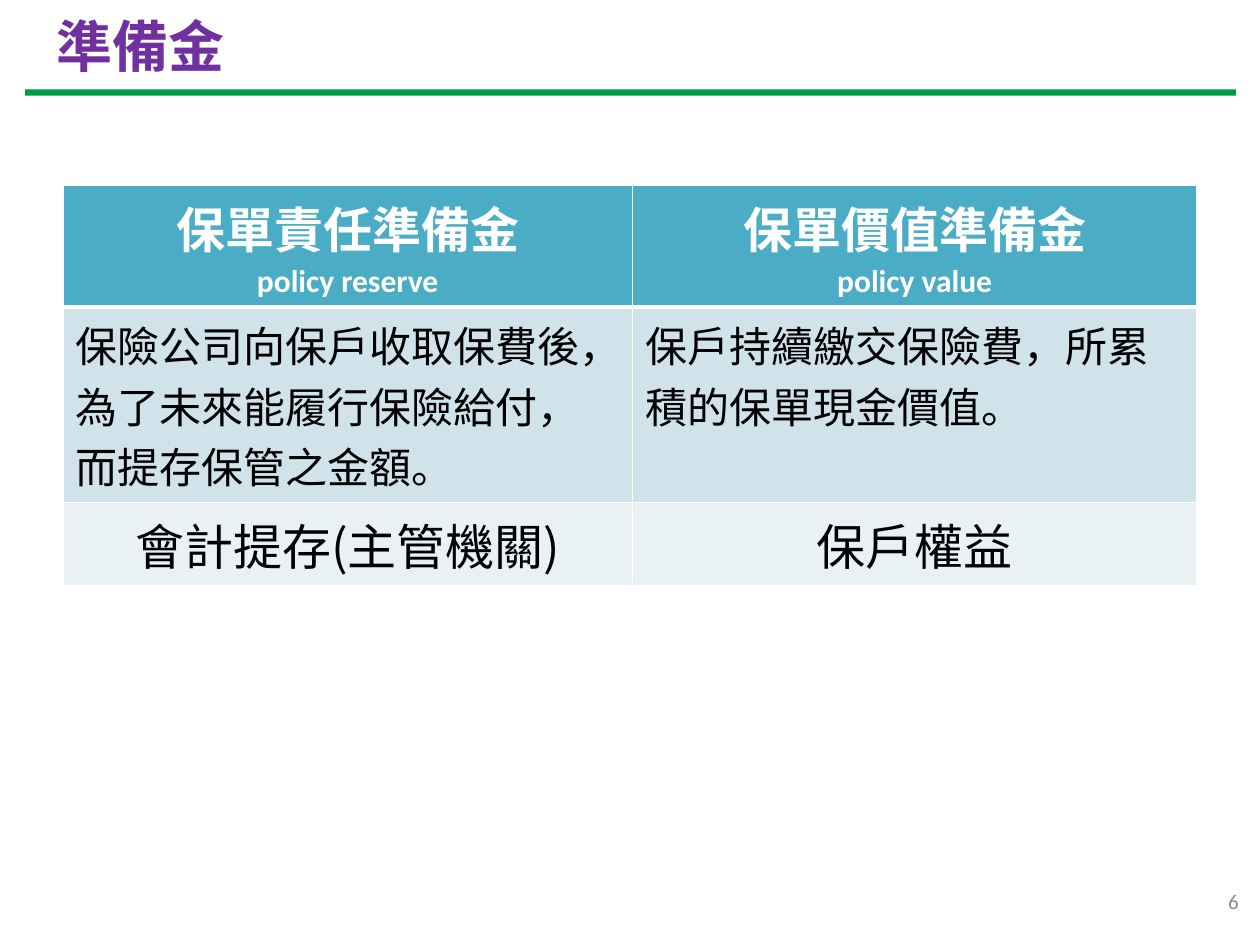
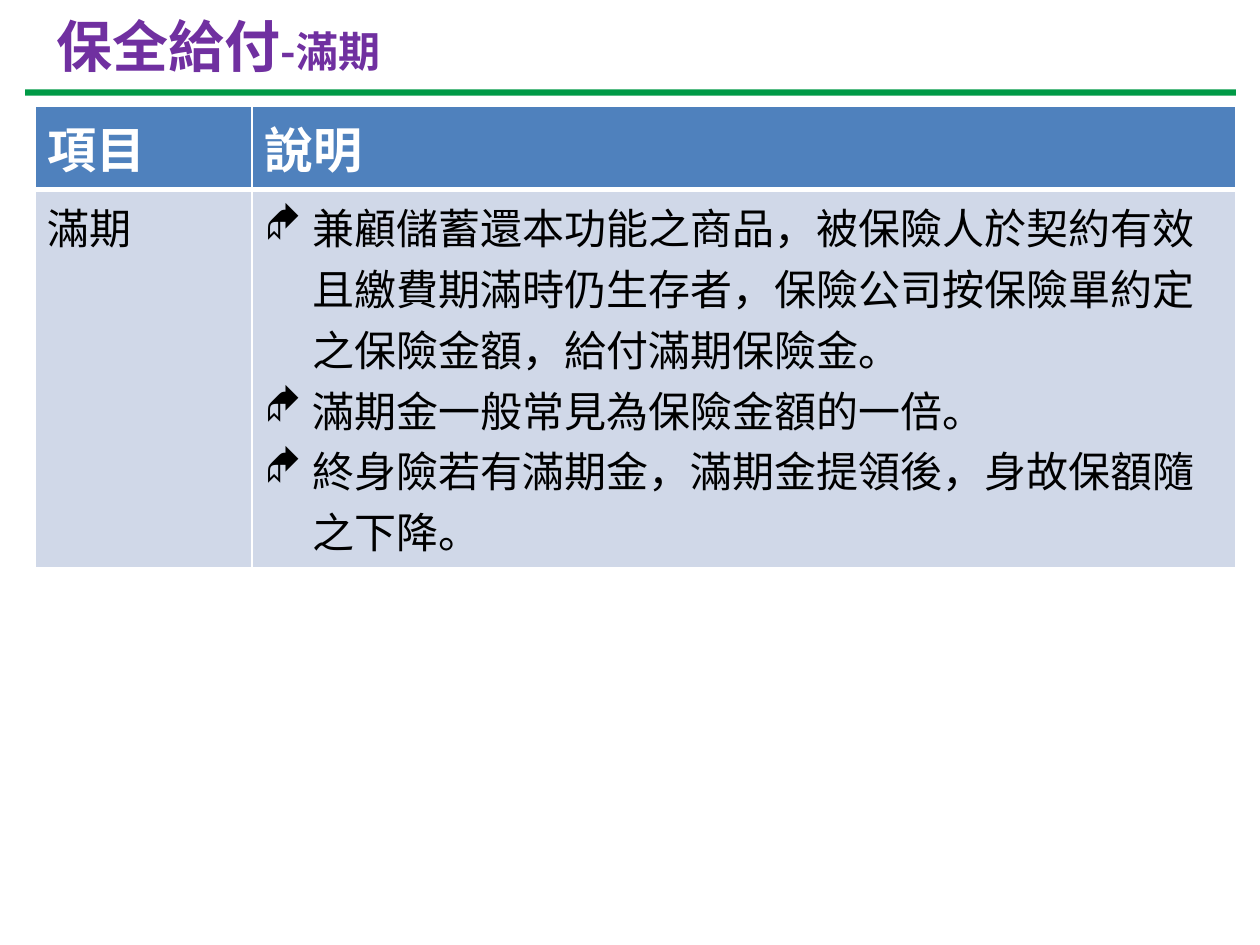
from dataclasses import dataclass
from typing import NamedTuple, Optional

from lxml.etree import SubElement
from pptx import Presentation
from pptx.dml.color import RGBColor
from pptx.enum.shapes import MSO_SHAPE as Shape
from pptx.enum.text import MSO_ANCHOR as Anchor, PP_ALIGN as Align
from pptx.oxml.ns import qn
from pptx.util import Inches, Pt

COLUMNS, ROWS = 100, 75  # page grid
PAGE_WIDTH, PAGE_HEIGHT = Inches(10), Inches(7.5)


@dataclass(frozen=True)
class Theme:
    cjk: str = "Noto Sans CJK SC"
    latin: str = "Calibri"
    title: str = "7030A0"
    rule: str = "009A46"
    number: str = "8C8C8C"
    light: str = "FFFFFF"
    dark: str = "000000"
    title_size: int = 32
    head_size: int = 28
    body_size: int = 24
    note_size: int = 18
    number_size: int = 12
    thin: int = 1
    thick: int = 3


THEME = Theme()


class Area(NamedTuple):
    """Left, top, width and height in grid columns and rows."""
    left: float
    top: float
    width: float
    height: float


TITLE_AREA = Area(3.5, 0.5, 92.9, 6.2)
RULE_AREA = Area(2, 7.1, 96.1, 0.5)
NUMBER_AREA = Area(76, 69.5, 23.3, 4)


class Span(NamedTuple):
    text: str
    size: int


@dataclass(frozen=True)
class Para:
    text: str
    size: int = THEME.body_size
    color: str = THEME.dark
    bold: bool = False
    font: str = THEME.cjk
    align: Align = Align.LEFT
    bullet: bool = False


class TableRow(NamedTuple):
    height: float
    fill: str
    cells: list[list[Para]]


@dataclass(frozen=True)
class TableSpec:
    left: float
    top: float
    widths: list[float]
    rows: list[TableRow]


@dataclass(frozen=True)
class Page:
    title: list[Span]
    table: TableSpec
    number: Optional[str] = None


def across(columns: float) -> int:
    return round(PAGE_WIDTH * columns / COLUMNS)


def down(rows: float) -> int:
    return round(PAGE_HEIGHT * rows / ROWS)


def place(area: Area) -> tuple[int, int, int, int]:
    return across(area.left), down(area.top), across(area.width), down(area.height)


def set_font(font, size: int, color: str, bold: bool, name: str) -> None:
    font.size, font.bold, font.name = Pt(size), bold, name
    font.color.rgb = RGBColor.from_string(color)
    latin = font._element.find(qn("a:latin"))
    east_asian = latin.makeelement(qn("a:ea"), {"typeface": name})
    latin.addnext(east_asian)


def add_bullet(paragraph) -> None:
    properties = paragraph._p.get_or_add_pPr()
    indent = Inches(0.38)
    properties.set("marL", str(indent))
    properties.set("indent", str(-indent))
    properties.insert(0, properties.makeelement(qn("a:buFont"), {"typeface": "Wingdings"}))
    properties.insert(1, properties.makeelement(qn("a:buChar"), {"char": "◆"}))


def write(frame, paras: list[Para]) -> None:
    for index, para in enumerate(paras):
        paragraph = frame.add_paragraph() if index else frame.paragraphs[0]
        paragraph.text, paragraph.alignment = para.text, para.align
        set_font(paragraph.font, para.size, para.color, para.bold, para.font)
        if para.bullet:
            add_bullet(paragraph)


def set_borders(cell, top: int, bottom: int) -> None:
    properties = cell._tc.get_or_add_tcPr()
    widths = {"L": THEME.thin, "R": THEME.thin, "T": top, "B": bottom}
    for index, (side, width) in enumerate(widths.items()):
        line = properties.makeelement(qn(f"a:ln{side}"), {"w": str(Pt(width))})
        fill = SubElement(line, qn("a:solidFill"))
        SubElement(fill, qn("a:srgbClr"), val=THEME.light)
        properties.insert(index, line)


def draw_title(slide, spans: list[Span]) -> None:
    box = slide.shapes.title
    box.left, box.top, box.width, box.height = place(TITLE_AREA)
    box.text_frame.vertical_anchor = Anchor.MIDDLE
    paragraph = box.text_frame.paragraphs[0]
    paragraph.alignment = Align.LEFT
    set_font(paragraph.font, THEME.title_size, THEME.title, True, THEME.cjk)
    for span in spans:
        run = paragraph.add_run()
        run.text, run.font.size = span.text, Pt(span.size)


def draw_rule(slide) -> None:
    bar = slide.shapes.add_shape(Shape.RECTANGLE, *place(RULE_AREA))
    bar.shadow.inherit = False
    bar.fill.solid()
    bar.fill.fore_color.rgb = RGBColor.from_string(THEME.rule)
    bar.line.fill.background()


def draw_number(slide, number: str) -> None:
    frame = slide.shapes.add_textbox(*place(NUMBER_AREA)).text_frame
    frame.word_wrap, frame.vertical_anchor = True, Anchor.MIDDLE
    write(frame, [Para(number, THEME.number_size, THEME.number,
                       font=THEME.latin, align=Align.RIGHT)])


def draw_table(slide, spec: TableSpec) -> None:
    area = Area(spec.left, spec.top, sum(spec.widths), sum(row.height for row in spec.rows))
    table = slide.shapes.add_table(len(spec.rows), len(spec.widths), *place(area)).table
    table.first_row = table.horz_banding = False
    for column, width in zip(table.columns, spec.widths):
        column.width = across(width)
    for index, row in enumerate(spec.rows):
        table.rows[index].height = down(row.height)
        for cell, paras in zip(table.rows[index].cells, row.cells):
            cell.fill.solid()
            cell.fill.fore_color.rgb = RGBColor.from_string(row.fill)
            set_borders(cell,
                        top=THEME.thick if index == 1 else THEME.thin,
                        bottom=THEME.thick if index == 0 else THEME.thin)
            write(cell.text_frame, paras)


def head(text: str, align: Align = Align.LEFT) -> Para:
    return Para(text, THEME.head_size, THEME.light, True, align=align)


def reserve_head(name: str, english: str) -> list[Para]:
    return [head(name, Align.CENTER),
            Para(english, THEME.note_size, THEME.light, True, THEME.latin, Align.CENTER)]


def purpose(text: str) -> list[Para]:
    return [Para(text, THEME.head_size, align=Align.CENTER)]


RESERVES = TableSpec(5, 14.7, [45.2, 44.8], [
    TableRow(9.6, "4BACC6", [reserve_head("保單責任準備金", "policy reserve"),
                             reserve_head("保單價值準備金", "policy value")]),
    TableRow(15.5, "D0E3EA", [
        [Para("保險公司向保戶收取保費後，為了未來能履行保險給付，而提存保管之金額。")],
        [Para("保戶持續繳交保險費，所累積的保單現金價值。")]]),
    TableRow(6.6, "E9F1F5", [purpose("會計提存(主管機關)"), purpose("保戶權益")]),
])

MATURITY_POINTS = [
    "兼顧儲蓄還本功能之商品，被保險人於契約有效且繳費期滿時仍生存者，"
    "保險公司按保險單約定之保險金額，給付滿期保險金。",
    "滿期金一般常見為保險金額的一倍。",
    "終身險若有滿期金，滿期金提領後，身故保額隨之下降。",
]

MATURITY = TableSpec(2.8, 8.4, [17.2, 78.1], [
    TableRow(6.6, "4F81BD", [[head("項目")], [head("說明")]]),
    TableRow(29.9, "D0D8E8", [[Para("滿期")],
                              [Para(point, bullet=True) for point in MATURITY_POINTS]]),
])

PAGES = [
    Page([Span("準備金", THEME.title_size)], RESERVES, "6"),
    Page([Span("保全給付", THEME.title_size), Span("-滿期", THEME.body_size)], MATURITY),
]


def main() -> None:
    deck = Presentation()
    deck.slide_width, deck.slide_height = PAGE_WIDTH, PAGE_HEIGHT
    title_only = deck.slide_layouts.get_by_name("Title Only")
    for page in PAGES:
        slide = deck.slides.add_slide(title_only)
        draw_title(slide, page.title)
        draw_rule(slide)
        draw_table(slide, page.table)
        if page.number:
            draw_number(slide, page.number)
    deck.save("out.pptx")


if __name__ == "__main__":
    main()
